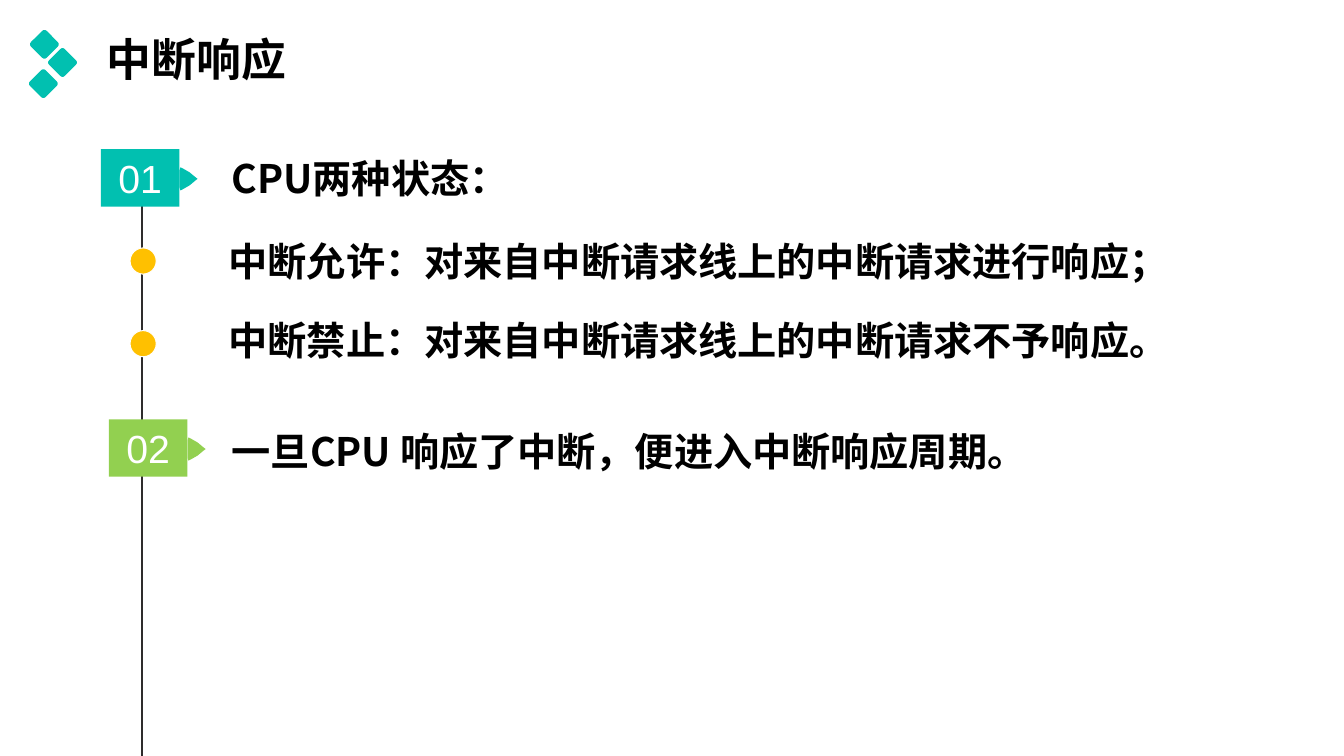
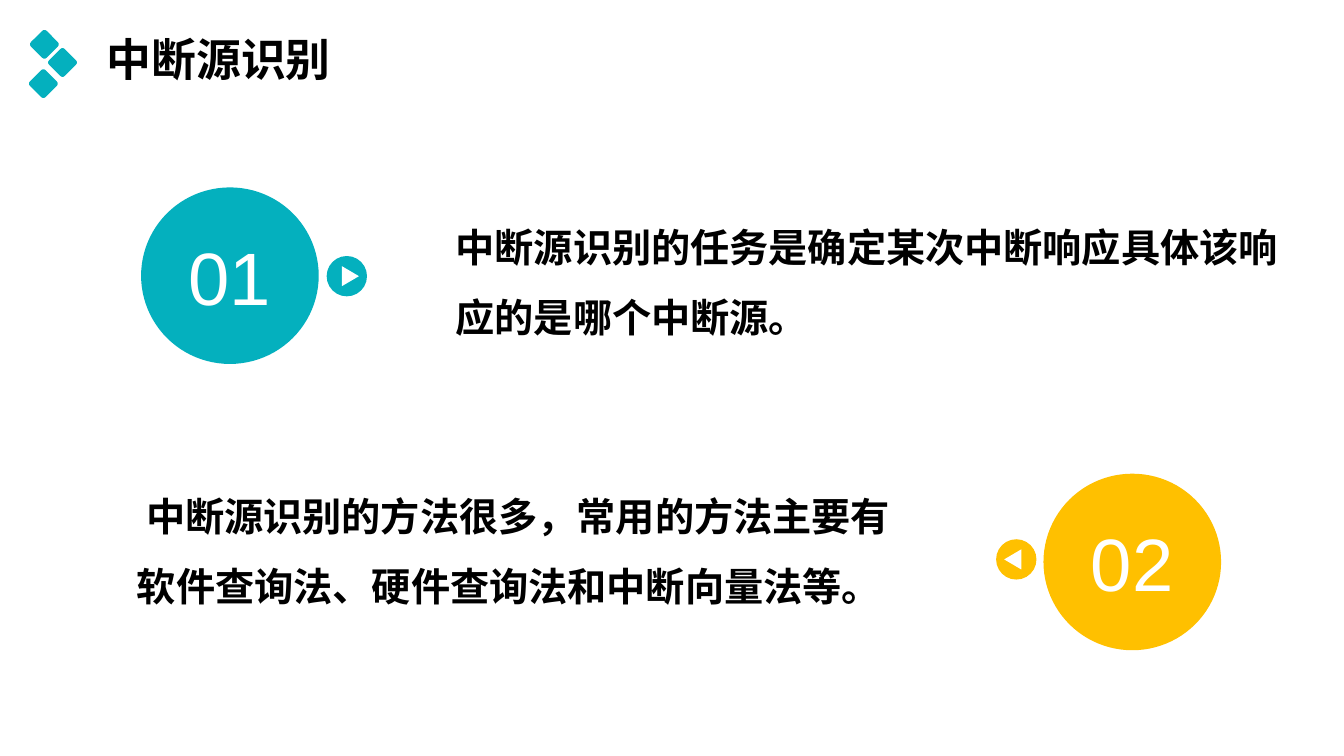
from dataclasses import dataclass

from lxml.etree import SubElement
from pptx import Presentation
from pptx.dml.color import RGBColor
from pptx.enum.shapes import MSO_CONNECTOR as Connector, MSO_SHAPE as Preset
from pptx.enum.text import MSO_ANCHOR as Anchor, PP_ALIGN as Align
from pptx.oxml.ns import qn
from pptx.shapes.autoshape import Shape
from pptx.slide import Slide
from pptx.text.text import TextFrame
from pptx.util import Inches, Pt


@dataclass(frozen=True)
class Theme:
    teal: str = "01C0B0"
    cyan: str = "04B0BE"
    green: str = "92D050"
    amber: str = "FFC000"
    white: str = "FFFFFF"
    black: str = "000000"
    axis: str = "2E2C2C"
    body_font: str = "Noto Sans CJK SC"
    number_font: str = "Arial"
    title_size: int = 32
    body_size: int = 28
    disc_size: int = 53


THEME = Theme()
Point = tuple[float, float]

DIAMOND_SIDE = 0.22
DIAMOND_CENTRES: list[Point] = [(0.44, 0.44), (0.62, 0.62), (0.43, 0.83)]
BADGE_WIDTH, BADGE_HEIGHT = 0.78, 0.57
POINTER_TOP_HALF: list[Point] = [(0, 0.03), (0.01, 0), (0.03, 0.01), (0.1, 0.05), (0.16, 0.1)]
POINTER_HEIGHT = 0.23
AXIS_X = 1.41
DOT_SIZE = 0.26
DISC_WIDTH, DISC_HEIGHT = 1.72, 1.71
PLAY_SIZE = 0.4


@dataclass(frozen=True)
class Badge:
    number: str
    left: float
    top: float
    color: str


@dataclass(frozen=True)
class Statement:
    text: str
    left: float
    top: float
    width: float
    height: float = 0.57
    line_spacing: float = 1.0
    first_indent: float = 0


@dataclass(frozen=True)
class Disc:
    """A numbered disc with a small play button; direction is 1 for right, -1 for left."""
    number: str
    left: float
    top: float
    color: str
    play_centre: Point
    direction: int


BADGES = [
    Badge("01", 1, 1.48, THEME.teal),
    Badge("02", 1.08, 4.16, THEME.green),
]
DOT_TOPS = [2.46, 3.28]
RESPONSE_STATEMENTS = [
    Statement("CPU两种状态：", 2.2, 1.48, 9.1),
    Statement("中断允许：对来自中断请求线上的中断请求进行响应；", 2.17, 2.31, 10.03),
    Statement("中断禁止：对来自中断请求线上的中断请求不予响应。", 2.17, 3.09, 10.03),
    Statement("一旦CPU 响应了中断，便进入中断响应周期。", 2.2, 4.19, 9.54),
]
DISCS = [
    Disc("01", 1.42, 1.88, THEME.cyan, (3.44, 2.74), 1),
    Disc("02", 10.37, 4.72, THEME.amber, (10.08, 5.55), -1),
]
SOURCE_STATEMENTS = [
    Statement("中断源识别的任务是确定某次中断响应具体该响应的是哪个中断源。",
              4.42, 1.93, 8.56, 1.58, 1.5),
    Statement("中断源识别的方法很多，常用的方法主要有软件查询法、硬件查询法和中断向量法等。",
              1.26, 4.6, 7.85, 1.58, 1.5, 0.09),
]


def rgb(color: str) -> RGBColor:
    return RGBColor.from_string(color)


def paint(shape: Shape, fill: str, line: str | None = None, line_width: float = 0) -> None:
    shape.shadow.inherit = False
    shape.fill.solid()
    shape.fill.fore_color.rgb = rgb(fill)
    if line:
        shape.line.color.rgb = rgb(line)
        shape.line.width = Pt(line_width)
    else:
        shape.line.fill.background()


def add_preset(slide: Slide, preset: Preset, left: float, top: float,
               width: float, height: float) -> Shape:
    return slide.shapes.add_shape(preset, Inches(left), Inches(top),
                                  Inches(width), Inches(height))


def add_polygon(slide: Slide, points: list[Point], color: str) -> None:
    corners = [(Inches(x), Inches(y)) for x, y in points]
    builder = slide.shapes.build_freeform(*corners[0])
    builder.add_line_segments(corners[1:], close=True)
    paint(builder.convert_to_shape(), color)


def write(frame: TextFrame, text: str, size: int, color: str, font: str,
          bold: bool = False, align: Align = Align.LEFT, line_spacing: float = 1.0) -> None:
    paragraph = frame.paragraphs[0]
    paragraph.alignment = align
    paragraph.line_spacing = line_spacing
    run = paragraph.add_run()
    run.text = text
    run.font.size = Pt(size)
    run.font.bold = bold
    run.font.color.rgb = rgb(color)
    run.font.name = font
    SubElement(run.font._element, qn("a:ea"), typeface=font)


def write_number(shape: Shape, number: str, size: int) -> None:
    frame = shape.text_frame
    frame.word_wrap = False
    frame.vertical_anchor = Anchor.MIDDLE
    write(frame, number, size, THEME.white, THEME.number_font, align=Align.CENTER)


def add_text_box(slide: Slide, left: float, top: float, width: float, height: float) -> TextFrame:
    frame = slide.shapes.add_textbox(Inches(left), Inches(top),
                                     Inches(width), Inches(height)).text_frame
    frame.word_wrap = True
    return frame


def add_statement(slide: Slide, statement: Statement) -> None:
    frame = add_text_box(slide, statement.left, statement.top, statement.width, statement.height)
    write(frame, statement.text, THEME.body_size, THEME.black, THEME.body_font,
          bold=True, line_spacing=statement.line_spacing)
    if statement.first_indent:
        properties = frame.paragraphs[0]._p.get_or_add_pPr()
        properties.set("indent", str(Inches(statement.first_indent)))


def add_titled_slide(deck: Presentation, title: str, accent: str) -> Slide:
    """Add a blank slide with the title and its three diamonds."""
    slide = deck.slides.add_slide(deck.slide_layouts[6])
    heading = add_text_box(slide, 0.96, 0.3, 6.53, 0.64)
    heading.vertical_anchor = Anchor.MIDDLE
    write(heading, title, THEME.title_size, THEME.black, THEME.body_font,
          bold=True, line_spacing=0.9)
    for x, y in DIAMOND_CENTRES:
        diamond = add_preset(slide, Preset.ROUNDED_RECTANGLE, x - DIAMOND_SIDE / 2,
                             y - DIAMOND_SIDE / 2, DIAMOND_SIDE, DIAMOND_SIDE)
        diamond.adjustments[0] = 0.14
        diamond.rotation = 45
        paint(diamond, accent)
    return slide


def add_axis(slide: Slide) -> None:
    axis = slide.shapes.add_connector(Connector.STRAIGHT, Inches(AXIS_X), Inches(1.75),
                                      Inches(AXIS_X), Inches(7.5))
    axis.line.color.rgb = rgb(THEME.axis)
    axis.line.width = Pt(1)
    SubElement(axis._element.spPr, qn("a:effectLst"))


def add_badge(slide: Slide, badge: Badge) -> None:
    """Draw a numbered rectangle with a pointer on its right side."""
    label = add_preset(slide, Preset.RECTANGLE, badge.left, badge.top, BADGE_WIDTH, BADGE_HEIGHT)
    paint(label, badge.color)
    write_number(label, badge.number, THEME.body_size)
    left, top = badge.left + BADGE_WIDTH, badge.top + 0.18
    bottom_half = [(x, POINTER_HEIGHT - y) for x, y in reversed(POINTER_TOP_HALF)]
    outline = [*POINTER_TOP_HALF, (0.18, POINTER_HEIGHT / 2), *bottom_half]
    add_polygon(slide, [(left + x, top + y) for x, y in outline], badge.color)


def add_disc(slide: Slide, disc: Disc) -> None:
    circle = add_preset(slide, Preset.OVAL, disc.left, disc.top, DISC_WIDTH, DISC_HEIGHT)
    paint(circle, disc.color, disc.color, 3)
    write_number(circle, disc.number, THEME.disc_size)
    x, y = disc.play_centre
    button = add_preset(slide, Preset.OVAL, x - PLAY_SIZE / 2, y - PLAY_SIZE / 2,
                        PLAY_SIZE, PLAY_SIZE)
    paint(button, disc.color)
    back, tip = x - 0.05 * disc.direction, x + 0.12 * disc.direction
    add_polygon(slide, [(tip, y), (back, y + 0.1), (back, y - 0.1)], THEME.white)


def add_response_slide(deck: Presentation) -> None:
    slide = add_titled_slide(deck, "中断响应", THEME.teal)
    add_axis(slide)
    for badge in BADGES:
        add_badge(slide, badge)
    for top in DOT_TOPS:
        dot = add_preset(slide, Preset.OVAL, AXIS_X + 0.01 - DOT_SIZE / 2, top,
                         DOT_SIZE, DOT_SIZE)
        paint(dot, THEME.amber, THEME.white)
    for statement in RESPONSE_STATEMENTS:
        add_statement(slide, statement)


def add_source_slide(deck: Presentation) -> None:
    slide = add_titled_slide(deck, "中断源识别", THEME.cyan)
    for disc in DISCS:
        add_disc(slide, disc)
    for statement in SOURCE_STATEMENTS:
        add_statement(slide, statement)


def main() -> None:
    deck = Presentation()
    deck.slide_width, deck.slide_height = Inches(13.33), Inches(7.5)
    add_response_slide(deck)
    add_source_slide(deck)
    deck.save("out.pptx")


if __name__ == "__main__":
    main()
